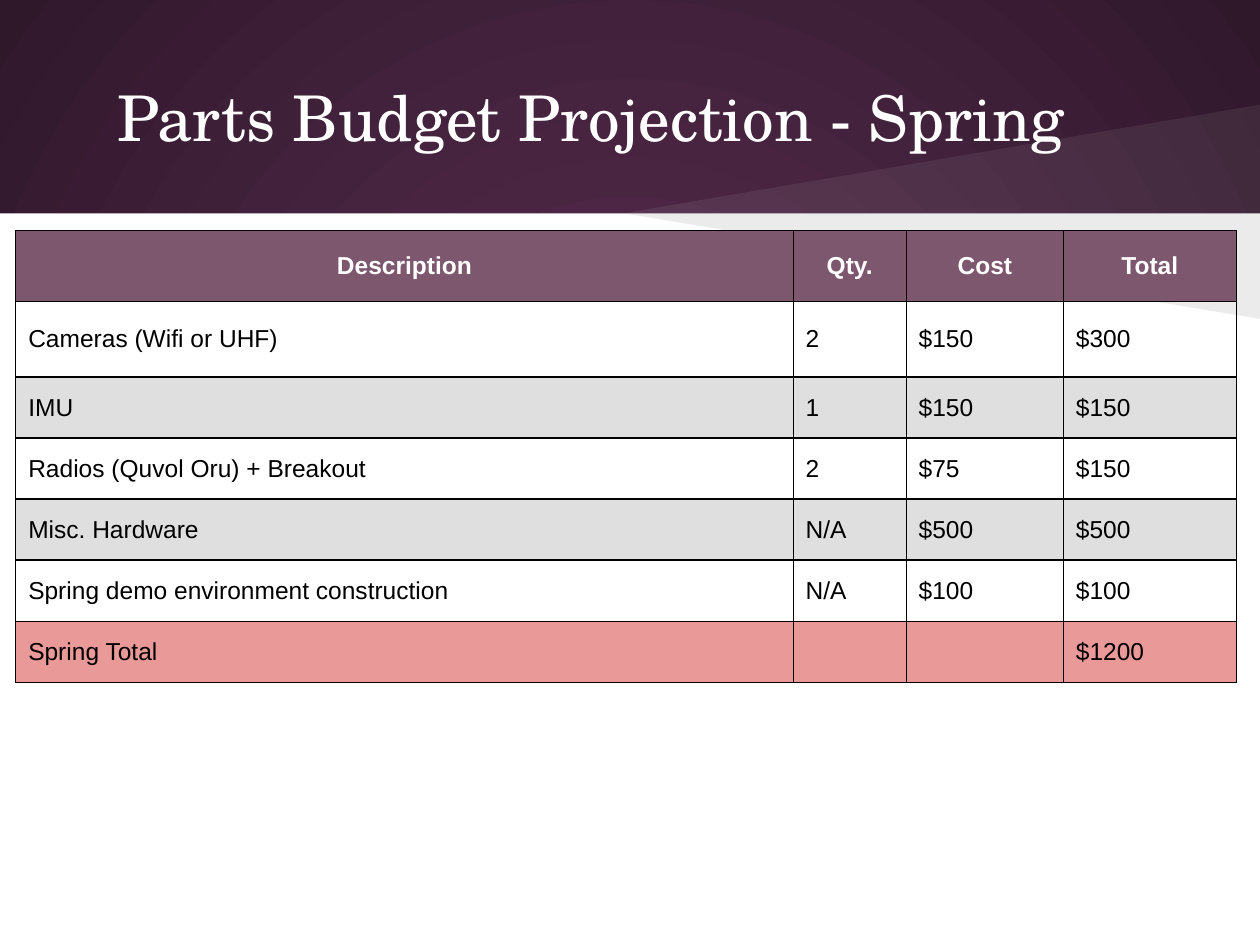
from lxml import etree
from pptx import Presentation
from pptx import util as u
from pptx.dml.color import RGBColor
from pptx.enum import shapes, text
from pptx.oxml.ns import qn

COLORS = {
    "glow": "592D50",
    "edge": "30182B",
    "white": "FFFFFF",
    "black": "000000",
    "header": "7D576E",
    "band": "DFDFDF",
    "total": "EA9999",
}
WIDTH, HEIGHT = 25.4, 19.05
BAND_BOTTOM = 4.3

COLUMN_WIDTHS = [15.67, 2.28, 3.17, 3.48]
ROW_HEIGHTS = [1.42, 1.53] + [1.23] * 5
ROWS = [
    ("Description", "Qty.", "Cost", "Total"),
    ("Cameras (Wifi or UHF)", "2", "$150", "$300"),
    ("IMU", "1", "$150", "$150"),
    ("Radios (Quvol Oru) + Breakout", "2", "$75", "$150"),
    ("Misc. Hardware", "N/A", "$500", "$500"),
    ("Spring demo environment construction", "N/A", "$100", "$100"),
    ("Spring Total", "", "", "$1200"),
]
ROW_FILLS = ["header", None, "band", None, "band", None, "total"]


class SlideBuilder:
    def __init__(self, prs):
        self.slide = prs.slides.add_slide(prs.slide_layouts[5])
        self.title_font, self.title_size = "TeX Gyre Schola", 36
        self.table_font, self.table_size = "Arial", 14
        self.border = 0.75

    def color(self, name):
        return RGBColor.from_string(COLORS[name])

    def run(self, p, words, font, size, color, bold=False):
        r = p.add_run()
        r.text = words
        r.font.name, r.font.size, r.font.bold = font, u.Pt(size), bold
        r.font.color.rgb = self.color(color)

    def background(self, inner, outer):
        """Fill the slide with a gradient that spreads from its centre."""
        fill = self.slide.background.fill
        fill.gradient()
        for stop, name in zip(fill.gradient_stops, (inner, outer)):
            stop.color.rgb = self.color(name)
        grad = self.slide.background._cSld.find(".//" + qn("a:gradFill"))
        grad.remove(grad.find(qn("a:lin")))
        circle = etree.SubElement(grad, qn("a:path"), {"path": "circle"})
        etree.SubElement(circle, qn("a:fillToRect"),
                         {side: "50000" for side in "ltrb"})

    def paint(self, sp, color):
        sp.shadow.inherit = False
        sp.line.fill.background()
        sp.fill.solid()
        sp.fill.fore_color.rgb = self.color(color)

    def rectangle(self, left, top, width, height, color):
        sp = self.slide.shapes.add_shape(
            shapes.MSO_SHAPE.RECTANGLE, *map(u.Cm, (left, top, width, height)))
        self.paint(sp, color)

    def polygon(self, points, color, opacity):
        corners = [(u.Cm(x), u.Cm(y)) for x, y in points]
        builder = self.slide.shapes.build_freeform(*corners[0])
        builder.add_line_segments(corners[1:])
        sp = builder.convert_to_shape()
        self.paint(sp, color)
        clr = sp._element.spPr.find(".//" + qn("a:srgbClr"))
        etree.SubElement(clr, qn("a:alpha"), val=str(opacity * 1000))

    def title(self, words, left, top, width, height):
        sp = self.slide.shapes.title
        sp.left, sp.top, sp.width, sp.height = map(u.Cm, (left, top, width, height))
        self.slide.shapes._spTree.append(sp._element)  # in front of the backdrop
        tf = sp.text_frame
        tf.word_wrap = True
        tf.auto_size = text.MSO_AUTO_SIZE.NONE
        tf.vertical_anchor = text.MSO_ANCHOR.MIDDLE
        tf.margin_left = tf.margin_right = u.Cm(0.25)
        tf.margin_top = tf.margin_bottom = u.Cm(0.25)
        p = tf.paragraphs[0]
        p.alignment = text.PP_ALIGN.LEFT
        p._p.get_or_add_pPr().set("indent", str(u.Cm(0.84)))
        self.run(p, words, self.title_font, self.title_size, "white")

    def table(self, left, top):
        frame = self.slide.shapes.add_table(
            len(ROWS), len(COLUMN_WIDTHS), u.Cm(left), u.Cm(top),
            u.Cm(sum(COLUMN_WIDTHS)), u.Cm(sum(ROW_HEIGHTS)))
        table = frame.table
        table.first_row = table.horz_banding = False
        for column, width in zip(table.columns, COLUMN_WIDTHS):
            column.width = u.Cm(width)
        for i, (row, height) in enumerate(zip(table.rows, ROW_HEIGHTS)):
            row.height = u.Cm(height)
            for cell, words in zip(row.cells, ROWS[i]):
                self.cell(cell, words, ROW_FILLS[i], header=i == 0)

    def cell(self, cell, words, fill, header):
        self.cell_borders(cell)
        if fill:
            cell.fill.solid()
            cell.fill.fore_color.rgb = self.color(fill)
        else:
            cell.fill.background()
        if not words:
            return
        cell.vertical_anchor = text.MSO_ANCHOR.MIDDLE
        cell.margin_left = cell.margin_right = u.Cm(0.25)
        cell.margin_top = cell.margin_bottom = u.Cm(0.33)
        p = cell.text_frame.paragraphs[0]
        p.alignment = text.PP_ALIGN.CENTER if header else text.PP_ALIGN.LEFT
        self.run(p, words, self.table_font, self.table_size,
                 "white" if header else "black", bold=header)

    def cell_borders(self, cell):
        tcPr = cell._tc.get_or_add_tcPr()
        for side in ("lnL", "lnR", "lnT", "lnB"):
            ln = etree.SubElement(tcPr, qn("a:" + side), w=str(u.Pt(self.border)))
            solid = etree.SubElement(ln, qn("a:solidFill"))
            etree.SubElement(solid, qn("a:srgbClr"), val=COLORS["black"])


def main():
    prs = Presentation()
    prs.slide_width, prs.slide_height = u.Cm(WIDTH), u.Cm(HEIGHT)
    s = SlideBuilder(prs)
    s.background("glow", "edge")
    s.rectangle(0, BAND_BOTTOM, WIDTH, HEIGHT - BAND_BOTTOM, "white")
    for tip, color, opacity in ((2.11, "white", 7), (6.43, "black", 8)):
        s.polygon([(WIDTH, BAND_BOTTOM), (12.57, BAND_BOTTOM), (WIDTH, tip)],
                  color, opacity)
    s.title("Parts Budget Projection - Spring", 1.27, 0.76, 22.86, 3.18)
    s.table(0.32, 4.65)
    prs.save("out.pptx")


if __name__ == "__main__":
    main()
